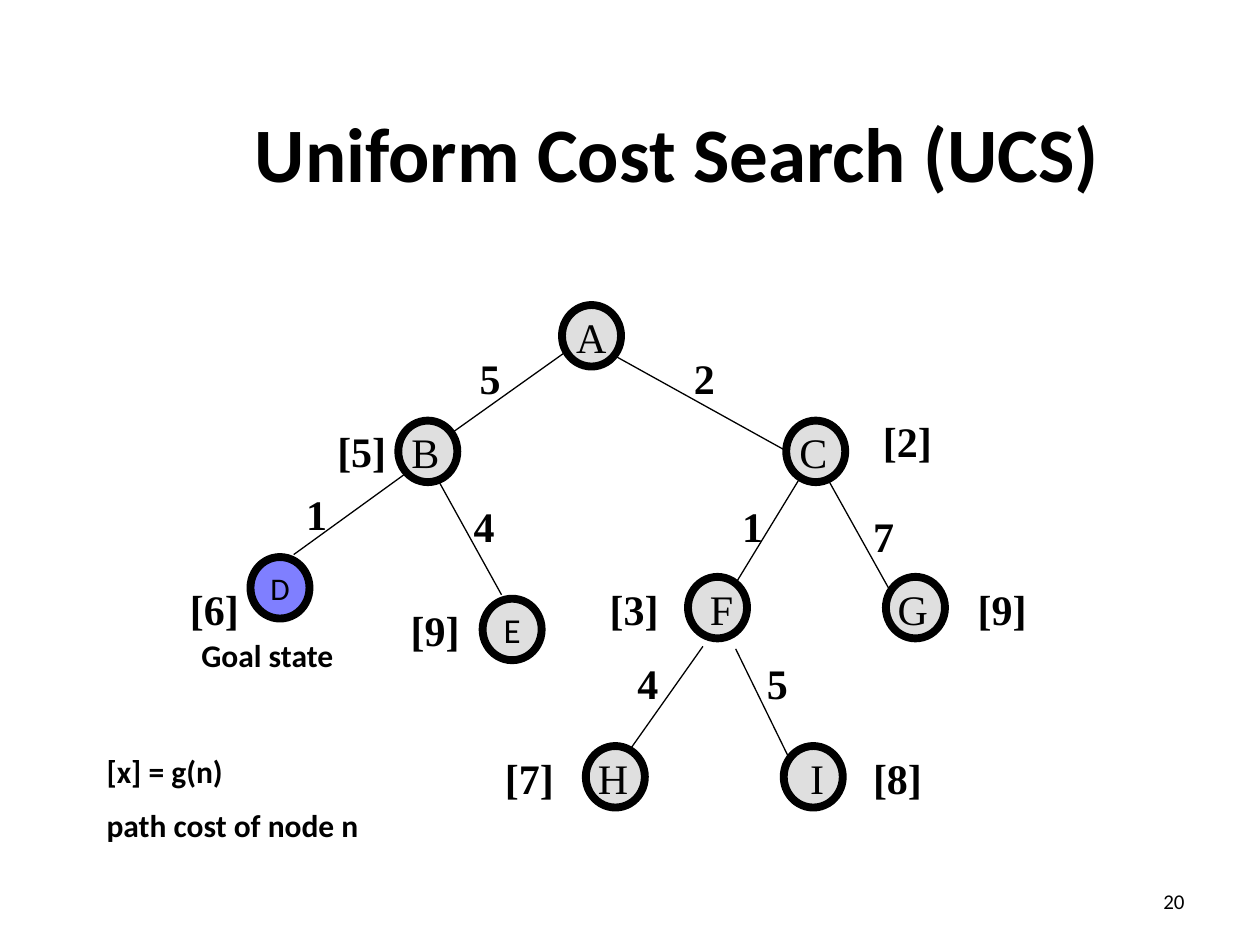
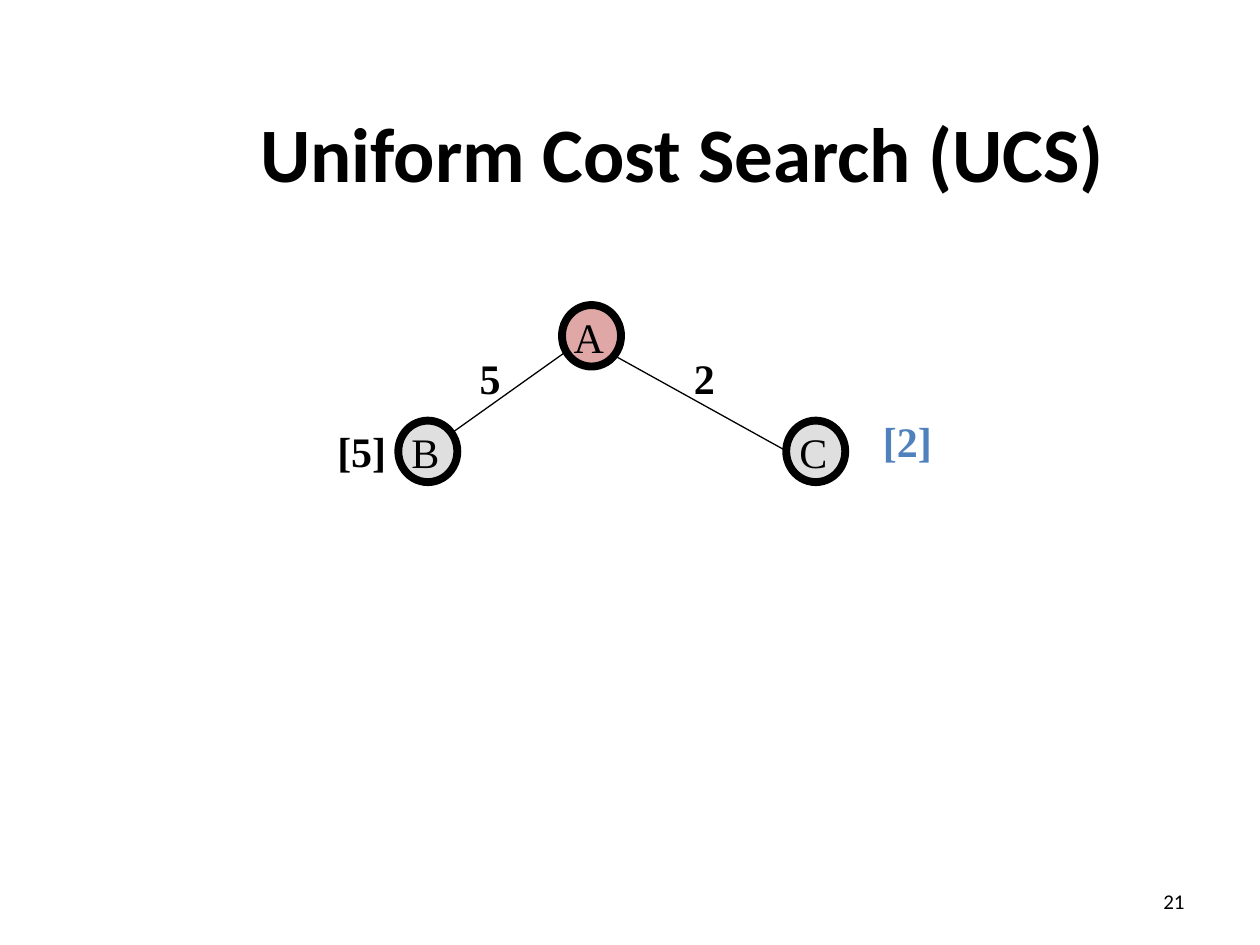
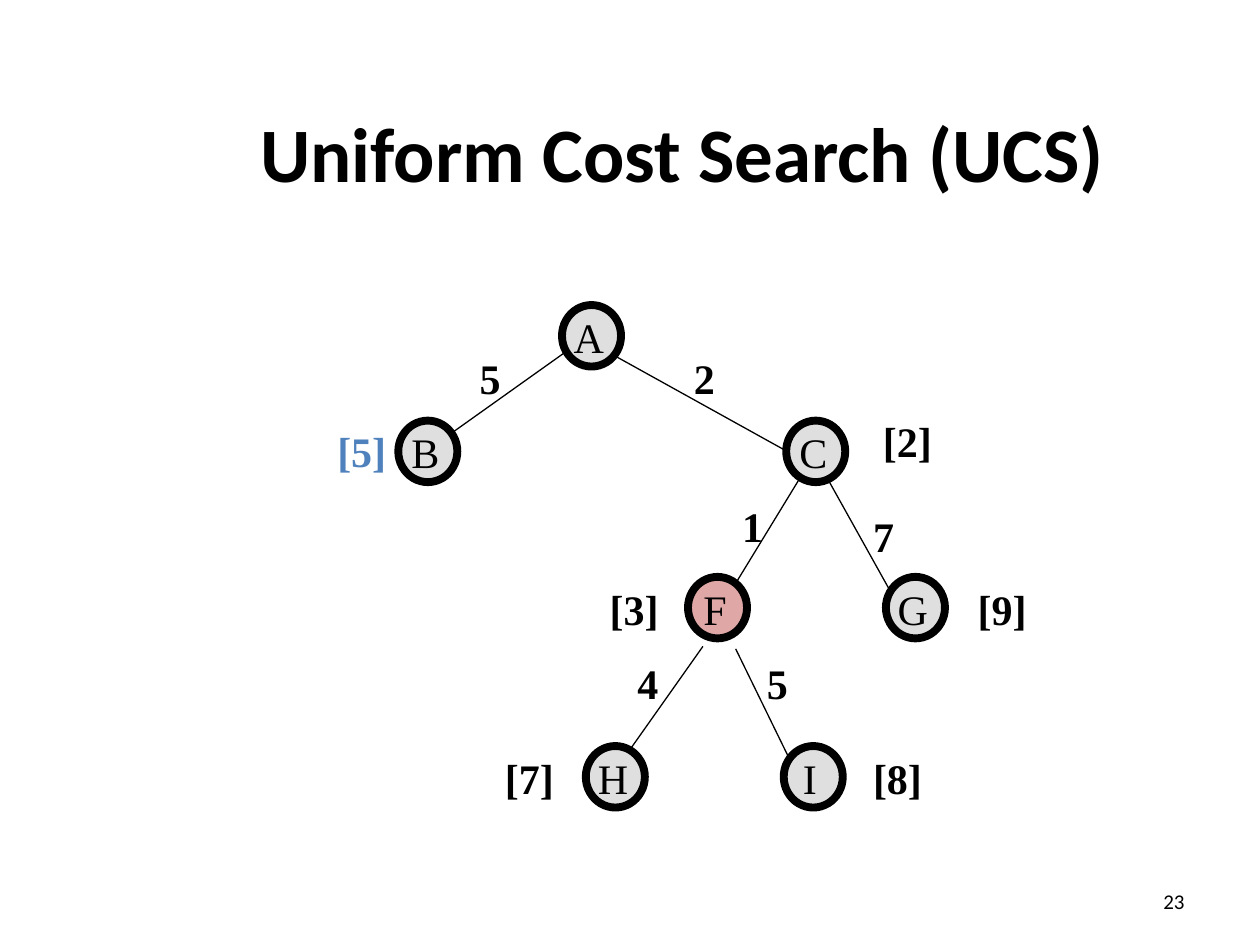
"""Build three slides that walk through uniform cost search on a small tree."""
from dataclasses import dataclass

from lxml import etree
from pptx import Presentation
from pptx.dml.color import RGBColor
from pptx.enum.shapes import MSO_CONNECTOR, MSO_SHAPE
from pptx.enum.text import MSO_ANCHOR, MSO_AUTO_SIZE, PP_ALIGN
from pptx.oxml.ns import qn
from pptx.util import Cm, Pt

LEFT, CENTER, RIGHT = PP_ALIGN.LEFT, PP_ALIGN.CENTER, PP_ALIGN.RIGHT
MIDDLE, TOP = MSO_ANCHOR.MIDDLE, MSO_ANCHOR.TOP
FIT, NO_FIT = MSO_AUTO_SIZE.SHAPE_TO_FIT_TEXT, MSO_AUTO_SIZE.NONE
OVAL, STRAIGHT = MSO_SHAPE.OVAL, MSO_CONNECTOR.STRAIGHT


@dataclass(frozen=True)
class Theme:
    ink: str = "000000"
    node: str = "C0C0C0"
    goal: str = "0000FF"
    expanded: str = "C0504D"
    chosen: str = "4F81BD"
    body: str = "Calibri"
    tree: str = "Times New Roman"
    title_pt: int = 44
    tree_pt: int = 24
    leaf_pt: int = 20
    note_pt: int = 18
    number_pt: int = 12
    ring_pt: float = 4.5
    edge_pt: float = 0.75
    opacity: int = 50


T = Theme()
TITLE = "Uniform Cost Search (UCS)"
NODE_W, NODE_H, TEXT_H = 1.19, 1.24, 1.27
COST_W, PATH_W = 0.94, 1.5

# name: (x, y, label shift, label width)
NODES = {
    "A": (11.33, 6.15, -0.03, 1.14),
    "B": (8.03, 8.48, 0, 1.09),
    "C": (15.85, 8.48, 0, 1.09),
    "G": (17.86, 11.63, -0.03, 1.14),
    "F": (13.87, 11.63, 0.05, 0.99),
    "I": (15.8, 15.04, 0.13, 0.79),
    "H": (11.81, 15.04, -0.02, 1.14),
}
LEAVES = {
    "D": (5.05, 11.23, T.goal, T.note_pt),
    "E": (9.73, 12.07, T.node, T.leaf_pt),
}
EDGES = {
    "B": ((11.38, 7.11, 9.09, 8.74), "5", (9.42, 6.99)),
    "C": ((12.37, 7.16, 15.85, 9.09), "2", (13.74, 6.99)),
    "F": ((16.13, 9.63, 14.83, 11.76), "1", (14.71, 9.96)),
    "G": ((16.71, 9.7, 17.96, 11.94), "7", (17.35, 10.16)),
    "H": ((14.17, 13.03, 12.7, 15.11), "4", (12.6, 13.13)),
    "I": ((14.83, 13.08, 15.9, 15.27), "5", (15.21, 13.13)),
    "D": ((8.2, 9.53, 5.92, 11.18), "1", (5.92, 9.73)),
    "E": ((8.86, 9.73, 10.11, 11.99), "4", (9.3, 9.96)),
}
PATHS = {
    "B": ("[5]", 6.55, 8.46),
    "C": ("[2]", 17.55, 8.26),
    "G": ("[9]", 19.46, 11.63),
    "F": ("[3]", 12.04, 11.63),
    "H": ("[7]", 9.93, 15.04),
    "I": ("[8]", 17.35, 15.04),
    "D": ("[6]", 3.58, 11.63),
    "E": ("[9]", 8.03, 12.07),
}
NOTES = [
    (["[x] = g(n)", "path cost of node n"], (1.9, 15.04, 6.99, 2.16)),
    (["Goal state"], (3.81, 12.7, 4.01, 1.02)),
]
SLIDES = [
    dict(number="20", shown="ABCGFIHDE", expanded="", chosen="", notes=NOTES,
         title_box=(3.18, 1.47, 20.96, 3.18),
         shifts={"A": 0.05, "F": 0.13, "I": 0.15}),
    dict(number="21", shown="ABC", expanded="A", chosen="C", notes=[],
         title_box=(2.97, 1.47, 21.59, 3.18), shifts={}),
    dict(number="23", shown="ABCGFIH", expanded="F", chosen="B", notes=[],
         title_box=(2.97, 1.47, 21.59, 3.18), shifts={}),
]


def write(tf, lines, size, font, color=T.ink, bold=False, align=LEFT, before=0):
    for i, line in enumerate(lines):
        p = tf.paragraphs[0] if i == 0 else tf.add_paragraph()
        p.alignment = align
        if before:
            p.space_before = Pt(before)
        r = p.add_run()
        r.text = line
        r.font.size, r.font.name, r.font.bold = Pt(size), font, bold
        r.font.color.rgb = RGBColor.from_string(color)


def add_text(s, lines, box, size, font, wrap=False, fit=FIT, anchor=TOP, **style):
    tf = s.shapes.add_textbox(*map(Cm, box)).text_frame
    tf.word_wrap, tf.auto_size, tf.vertical_anchor = wrap, fit, anchor
    write(tf, lines, size, font, **style)


def add_circle(s, x, y, color):
    sp = s.shapes.add_shape(OVAL, Cm(x), Cm(y), Cm(NODE_W), Cm(NODE_H))
    sp.shadow.inherit = False
    sp.fill.solid()
    sp.fill.fore_color.rgb = RGBColor.from_string(color)
    clr = sp.fill._xPr.find(qn("a:solidFill"))[0]
    etree.SubElement(clr, qn("a:alpha"), val=str(T.opacity * 1000))
    sp.line.color.rgb = RGBColor.from_string(T.ink)
    sp.line.width = Pt(T.ring_pt)
    return sp


def add_edge(s, ends):
    line = s.shapes.add_connector(STRAIGHT, *map(Cm, ends))
    line.line.color.rgb = RGBColor.from_string(T.ink)
    line.line.width = Pt(T.edge_pt)
    etree.SubElement(line._element.spPr, qn("a:effectLst"))


def add_node(s, name, slide):
    if name in LEAVES:
        x, y, color, size = LEAVES[name]
        tf = add_circle(s, x, y, color).text_frame
        tf.word_wrap, tf.vertical_anchor = False, MIDDLE
        write(tf, [name], size, T.body, align=CENTER)
        return
    x, y, shift, w = NODES[name]
    add_circle(s, x, y, T.expanded if name == slide["expanded"] else T.node)
    left = x + shift + slide["shifts"].get(name, 0)
    add_text(s, [name], (left, y, w, TEXT_H), T.tree_pt, T.tree, align=CENTER)


def add_step(prs, slide):
    s = prs.slides.add_slide(prs.slide_layouts[6])
    add_text(s, [TITLE], slide["title_box"], T.title_pt, T.body, wrap=True,
             fit=NO_FIT, anchor=MIDDLE, bold=True, align=CENTER)
    add_text(s, [slide["number"]], (18.21, 17.65, 5.92, 1.02), T.number_pt, T.body,
             wrap=True, fit=NO_FIT, anchor=MIDDLE, align=RIGHT)
    for name in slide["shown"]:
        add_node(s, name, slide)
    for name in slide["shown"]:
        if name not in EDGES:
            continue
        ends, cost, spot = EDGES[name]
        add_edge(s, ends)
        add_text(s, [cost], (*spot, COST_W, TEXT_H), T.tree_pt, T.tree, bold=True)
        path_cost, x, y = PATHS[name]
        add_text(s, [path_cost], (x, y, PATH_W, TEXT_H), T.tree_pt, T.tree, bold=True,
                 color=T.chosen if name == slide["chosen"] else T.ink)
    for lines, box in slide["notes"]:
        add_text(s, lines, box, T.note_pt, T.body, wrap=True, bold=True, before=9)


prs = Presentation()
prs.slide_width, prs.slide_height = Cm(25.4), Cm(19.05)
for slide in SLIDES:
    add_step(prs, slide)
prs.save("out.pptx")
